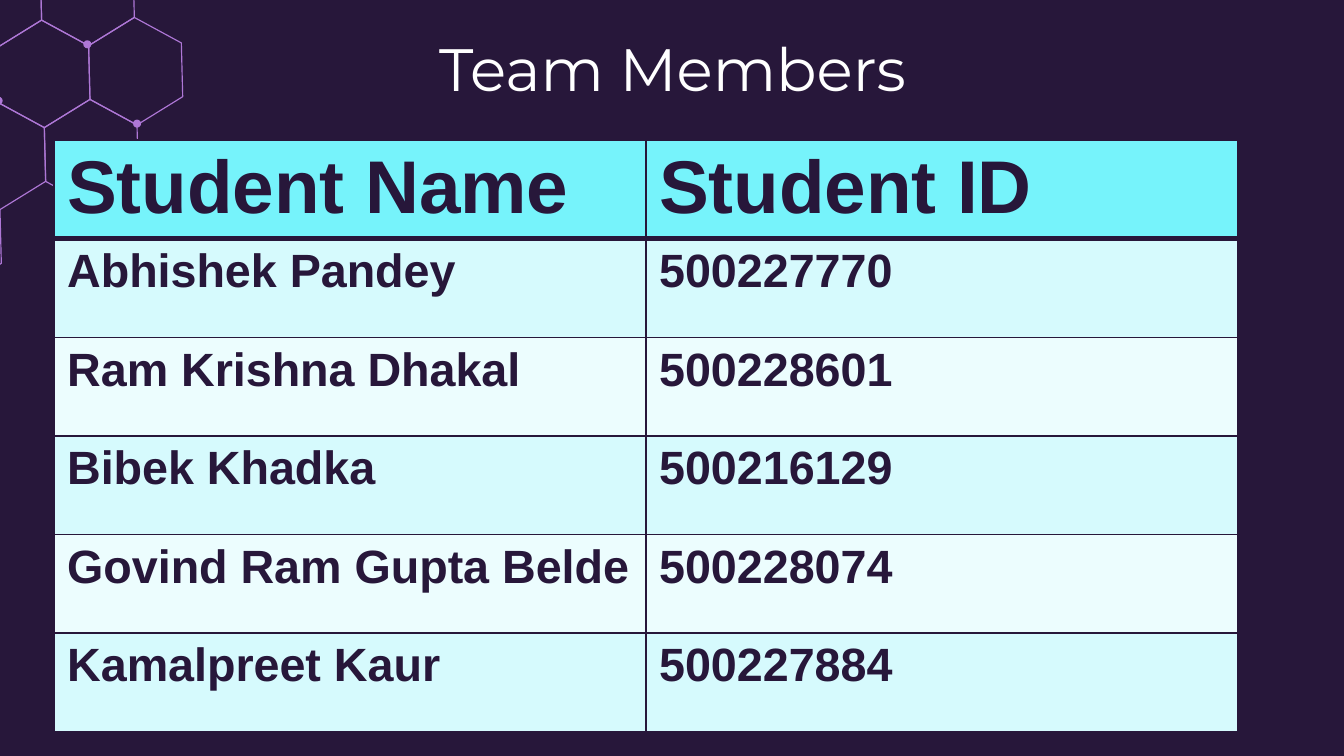
import pptx
import pptx.dml.color
import pptx.enum.text
import pptx.enum.shapes
import pptx.oxml
import pptx.oxml.ns
import pptx.util
from pptx.util import Inches

TITLE = "Team Members"
HEADINGS = ("Student Name", "Student ID")
STUDENTS = [
    ("Abhishek Pandey", "500227770"),
    ("Ram Krishna Dhakal", "500228601"),
    ("Bibek Khadka", "500216129"),
    ("Govind Ram Gupta Belde", "500228074"),
    ("Kamalpreet Kaur", "500227884"),
]

# Honeycomb: cells are (steps right, steps down-right) from the first centre
CELLS = [(0, 0), (1, 0), (0, 1), (1, 1), (-1, 2), (0, 2), (-2, 3)]
FIRST_CENTRE = (-0.04, -0.04)
HALF_CORNERS = [(0.35, 0.19), (0.34, -0.21), (-0.01, -0.4)]
DOT_CENTRES = [(1.02, 0.92), (-0.01, 0.75), (0.65, 0.33)]
DOT_SIZE = 0.06

THEME = {
    "dark": "27173A", "white": "FFFFFF", "honeycomb": "AE77D6",
    "header": "76F3FB", "bands": ("D6FAFD", "ECFDFE"),
    "title_font": "Montserrat", "table_font": "Arial",
    "title_size": 32, "header_size": 40, "body_size": 25,
    "thin": 1, "thick": 3, "hex_line": 0.61,
}


def rgb(name):
    return pptx.dml.color.RGBColor.from_string(name)


def write(frame, text, *, size, font, color, bold=False, align=None):
    paragraph = frame.paragraphs[0]
    paragraph.alignment = align
    run = paragraph.add_run()
    run.text = text
    run.font.size = pptx.util.Pt(size)
    run.font.name = font
    run.font.bold = bold
    run.font.color.rgb = rgb(color)


def fill(target, color):
    target.fill.solid()
    target.fill.fore_color.rgb = rgb(color)


def set_borders(cell, widths):
    """Borders go before the fill, so call this on an unfilled cell."""
    properties = cell._tc.get_or_add_tcPr()
    for side, width in widths.items():
        properties.append(pptx.oxml.parse_xml(
            f'<a:{side} {pptx.oxml.ns.nsdecls("a")} w="{pptx.util.Pt(width)}">'
            f'<a:solidFill><a:srgbClr val="{THEME["dark"]}"/></a:solidFill>'
            f'</a:{side}>'))


def add_honeycomb(slide):
    # Opposite corners mirror each other, and neighbours share an edge
    corners = HALF_CORNERS + [(-x, -y) for x, y in HALF_CORNERS]
    lower, upper, top = HALF_CORNERS
    step_right = [a + b for a, b in zip(lower, upper)]
    step_down = [a - b for a, b in zip(lower, top)]
    for right, down in CELLS:
        x, y = (start + right * r + down * d for start, r, d
                in zip(FIRST_CENTRE, step_right, step_down))
        points = [(Inches(x + dx), Inches(y + dy)) for dx, dy in corners]
        builder = slide.shapes.build_freeform(*points[0])
        builder.add_line_segments(points[1:], close=True)
        hexagon = builder.convert_to_shape()
        hexagon.shadow.inherit = False
        hexagon.fill.background()
        hexagon.line.color.rgb = rgb(THEME["honeycomb"])
        hexagon.line.width = pptx.util.Pt(THEME["hex_line"])
    for x, y in DOT_CENTRES:
        dot = slide.shapes.add_shape(
            pptx.enum.shapes.MSO_SHAPE.OVAL,
            Inches(x - DOT_SIZE / 2), Inches(y - DOT_SIZE / 2),
            Inches(DOT_SIZE), Inches(DOT_SIZE))
        dot.shadow.inherit = False
        fill(dot, THEME["honeycomb"])
        dot.line.fill.background()


def add_title(slide):
    title = slide.shapes.add_textbox(
        Inches(0.79), Inches(0.14), Inches(8.43), Inches(0.63)).text_frame
    title.word_wrap = True
    title.margin_top = title.margin_bottom = Inches(0.1)
    write(title, TITLE, size=THEME["title_size"], font=THEME["title_font"],
          color=THEME["white"], align=pptx.enum.text.PP_ALIGN.CENTER)


def add_students(slide):
    rows = [HEADINGS, *STUDENTS]
    height = Inches(4.4)
    students = slide.shapes.add_table(
        len(rows), len(HEADINGS), Inches(0.4), Inches(1.04),
        Inches(8.81), height).table
    for row in students.rows:
        row.height = height // len(rows)
    thin, thick = THEME["thin"], THEME["thick"]
    for r, values in enumerate(rows):
        is_header = r == 0
        band = THEME["header"] if is_header else THEME["bands"][(r - 1) % 2]
        size = THEME["header_size"] if is_header else THEME["body_size"]
        for c, value in enumerate(values):
            cell = students.cell(r, c)
            if is_header:
                cell.margin_bottom = Inches(0.02)
            set_borders(cell, {"lnL": thin, "lnR": thin,
                               "lnT": thick if r == 1 else thin,
                               "lnB": thick if is_header else thin})
            fill(cell, band)
            write(cell.text_frame, value, size=size, bold=True,
                  font=THEME["table_font"], color=THEME["dark"])


def main():
    deck = pptx.Presentation()
    deck.slide_width = Inches(10)
    deck.slide_height = deck.slide_width * 9 // 16
    slide = deck.slides.add_slide(deck.slide_layouts[6])
    fill(slide.background, THEME["dark"])
    add_honeycomb(slide)
    add_title(slide)
    add_students(slide)
    deck.save("out.pptx")


if __name__ == "__main__":
    main()
